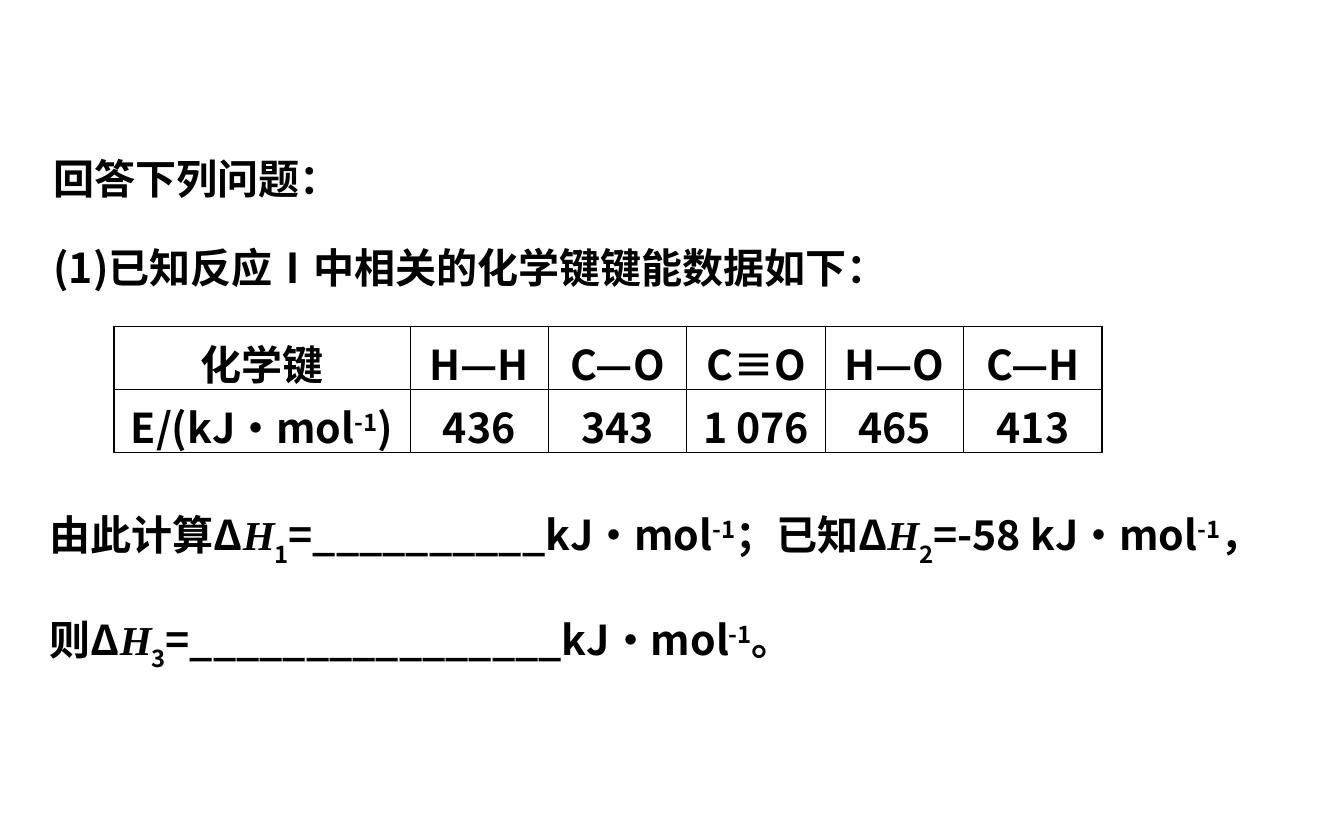
"""Build the slide with the bond energy question."""
from lxml import etree
from pptx import Presentation
from pptx.dml.color import RGBColor
from pptx.enum.text import MSO_ANCHOR, PP_ALIGN
from pptx.oxml.ns import qn
from pptx.util import Pt

BLACK = RGBColor(0, 0, 0)
CENTER = PP_ALIGN.CENTER
MIDDLE = MSO_ANCHOR.MIDDLE
SANS = "Noto Sans CJK SC"
SERIF = "Times New Roman"
THICK, THIN = 0.96, 0.45
PLAIN = {"name": SANS, "size": Pt(22), "bold": True, "italic": False}
SHIFTS = {"^": "30000", "~": "-30000"}


def write(par, text):
    """Split text at bars; a part led by ^ is raised, ~ lowered, * italic."""
    for part in text.split("|"):
        mark = part[0] if part[0] in "^~*" else ""
        run = par.add_run()
        run.text = part[len(mark):]
        style = dict(PLAIN)
        if mark == "*":
            style.update(name=SERIF, italic=True)
        for key, value in style.items():
            setattr(run.font, key, value)
        run.font.color.rgb = BLACK
        props = run._r.get_or_add_rPr()
        etree.SubElement(props, qn("a:ea"), typeface=style["name"])
        if mark in SHIFTS:
            props.set("baseline", SHIFTS[mark])


def edge(cell, side, width):
    """Draw one border of a cell."""
    props = cell._tc.get_or_add_tcPr()
    line = etree.SubElement(props, qn("a:ln" + side), w=str(Pt(width)))
    fill = etree.SubElement(line, qn("a:solidFill"))
    etree.SubElement(fill, qn("a:srgbClr"), val=str(BLACK))


deck = Presentation()
deck.slide_width, deck.slide_height = Pt(720), Pt(450)
slide = deck.slides.add_slide(deck.slide_layouts[6])

BOXES = [
    (21.6, 57.6, 102, ["回答下列问题：", "(1)已知反应Ⅰ中相关的化学键键能数据如下："]),
    (19.6, 244.8, 119.5, [
        "由此计算Δ|*H|~1|=__________kJ·mol|^-1|；已知Δ|*H|~2|=-58 kJ·mol|^-1"
        "|，则Δ|*H|~3|=________________kJ·mol|^-1|。"]),
]
for left, top, height, lines in BOXES:
    box = slide.shapes.add_textbox(Pt(left), Pt(top), Pt(679), Pt(height))
    frame = box.text_frame
    frame.word_wrap = True
    for i, line in enumerate(lines):
        par = frame.add_paragraph() if i else frame.paragraphs[0]
        par.line_spacing = 1.8
        write(par, line)

ROWS = [
    ["化学键", "H—H", "C—O", "C≡O", "H—O", "C—H"],
    ["E/(kJ·mol|^-1|)", "436", "343", "1 076", "465", "413"],
]
WIDTHS = [158.6] + [74.2] * 5
HIGH = 33.7
last_row, last_col = len(ROWS) - 1, len(WIDTHS) - 1
table = slide.shapes.add_table(
    len(ROWS), len(WIDTHS), Pt(61), Pt(175), Pt(sum(WIDTHS)), Pt(HIGH * len(ROWS))
).table
table.first_row = table.horz_banding = False
for col, width in zip(table.columns, WIDTHS):
    col.width = Pt(width)
for r, texts in enumerate(ROWS):
    table.rows[r].height = Pt(HIGH)
    for c, text in enumerate(texts):
        cell = table.cell(r, c)
        cell.vertical_anchor = MIDDLE
        outer = {"L": c == 0, "R": c == last_col, "T": r == 0, "B": r == last_row}
        for side, thick in outer.items():
            edge(cell, side, THICK if thick else THIN)
        cell.fill.background()
        par = cell.text_frame.paragraphs[0]
        par.alignment = CENTER
        write(par, text)

deck.save("out.pptx")
